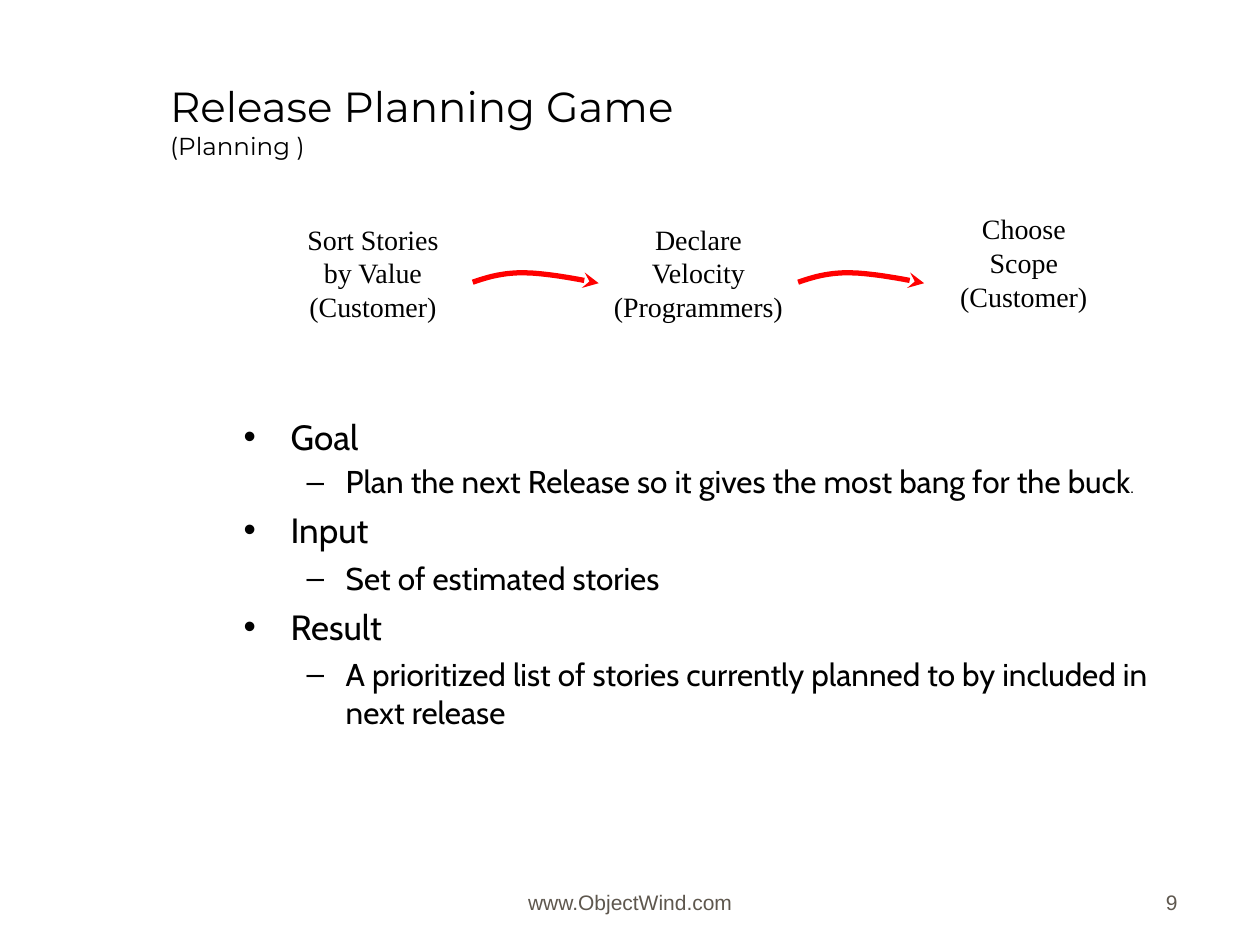
from lxml import etree
from pptx import Presentation
from pptx.dml.color import RGBColor
from pptx.enum.shapes import MSO_SHAPE
from pptx.enum.text import MSO_ANCHOR, PP_ALIGN
from pptx.oxml.ns import qn
from pptx.util import Cm, Pt

BLACK = RGBColor(0, 0, 0)
WHITE = RGBColor(255, 255, 255)
RED = RGBColor(255, 0, 0)
GREY = RGBColor(0x5E, 0x57, 0x4E)
RECT = MSO_SHAPE.RECTANGLE
TOP, MIDDLE, BOTTOM = MSO_ANCHOR.TOP, MSO_ANCHOR.MIDDLE, MSO_ANCHOR.BOTTOM
LEFT, CENTER, RIGHT = PP_ALIGN.LEFT, PP_ALIGN.CENTER, PP_ALIGN.RIGHT

TITLE = ("Release Planning Game", "(Planning )")
STEPS = [  # left, top, lines
    (5.72, 4.23, "Sort Stories\nby Value\n(Customer)"),
    (12.28, 4.23, "Declare\nVelocity\n(Programmers)"),
    (18.84, 4.02, "Choose\nScope\n(Customer)"),
]
POINTS = [  # level, space before, text, small ending
    (0, 0, "Goal", ""),
    (1, 2.5, "Plan the next Release so it gives the most bang for the buck", "."),
    (0, 5, "Input", ""),
    (1, 4.5, "Set of estimated stories", ""),
    (0, 5, "Result", ""),
    (1, 4.5, "A prioritized list of stories currently planned to by included in "
             "next release", ""),
]
LEVELS = [  # bullet, size, left margin, hanging indent
    ("•", 20, 0.95, 0.95),
    ("–", 18, 2.06, 0.79),
]
FOOTERS = [  # left, width, text, alignment
    (8.68, 8.05, "www.ObjectWind.com", CENTER),
    (18.7, 5.29, "9", RIGHT),
]
ARROWS = (9.53, 16.09)
ARROW_TOP = 5.69
STEP_W, STEP_H = 3.6, 2.54
CURVES = [
    ((0, 0), (0.29, -0.1), (0.59, -0.19), (1, -0.19)),
    ((1, -0.19), (1.42, -0.19), (1.98, -0.09), (2.54, 0.02)),
]
PARTS = 12


def style(font, name, size, color=BLACK):
    font.name, font.size = name, Pt(size)
    font.color.rgb = color


def add_text(slide, x, y, w, h, text, anchor=TOP, align=LEFT):
    frame = slide.shapes.add_textbox(Cm(x), Cm(y), Cm(w), Cm(h)).text_frame
    frame.word_wrap = True
    frame.vertical_anchor = anchor
    frame.text = text
    for para in frame.paragraphs:
        para.alignment = align
    return frame


def add_step(slide, x, y, text):
    box = slide.shapes.add_shape(RECT, Cm(x), Cm(y), Cm(STEP_W), Cm(STEP_H))
    box.shadow.inherit = False
    box.fill.background()
    box.line.color.rgb = WHITE
    box.line.width = Pt(2.25)
    frame = box.text_frame
    frame.word_wrap = False
    frame.vertical_anchor = MIDDLE
    frame.text = text
    for para in frame.paragraphs:
        para.alignment = CENTER
        style(para.font, "Times New Roman", 16)


def bezier(curve, t):
    """Return the point at share t of a cubic curve."""
    u = 1 - t
    parts = (u ** 3, 3 * u * u * t, 3 * u * t * t, t ** 3)
    return tuple(sum(k * p[axis] for k, p in zip(parts, curve)) for axis in (0, 1))


def add_arrow(slide, x, y):
    dots = [bezier(curve, i / PARTS) for curve in CURVES for i in range(1, PARTS + 1)]
    pen = slide.shapes.build_freeform(Cm(x), Cm(y))
    pen.add_line_segments([(Cm(x + dx), Cm(y + dy)) for dx, dy in dots], close=False)
    arrow = pen.convert_to_shape()
    arrow.shadow.inherit = False
    arrow.fill.background()
    arrow.line.color.rgb = RED
    arrow.line.width = Pt(3)
    etree.SubElement(arrow.line._get_or_add_ln(), qn("a:tailEnd"), type="stealth")


def add_points(slide):
    text = "\n".join(point[2] for point in POINTS)
    frame = add_text(slide, 4.66, 8.26, 19.05, 9.31, text)
    for para, (level, gap, _, end) in zip(frame.paragraphs, POINTS):
        mark, size, margin, hang = LEVELS[level]
        props = para._p.get_or_add_pPr()
        props.set("marL", str(Cm(margin)))
        props.set("indent", str(-Cm(hang)))
        etree.SubElement(props, qn("a:buFont"), typeface="Arial")
        etree.SubElement(props, qn("a:buChar"), char=mark)
        para.level = level
        para.space_before = Pt(gap)
        style(para.runs[0].font, "Cabin", size)
        if end:
            run = para.add_run()
            run.text = end
            style(run.font, "Cabin", 10)


def main():
    deck = Presentation()
    deck.slide_width, deck.slide_height = Cm(25.4), Cm(19.05)
    slide = deck.slides.add_slide(deck.slide_layouts[6])

    title = add_text(slide, 3.18, 0, 21.59, 3.35, "\v".join(TITLE), BOTTOM)
    for run, size in zip(title.paragraphs[0].runs, (24, 14)):
        style(run.font, "Montserrat", size)
    for step in STEPS:
        add_step(slide, *step)
    for x in ARROWS:
        add_arrow(slide, x, ARROW_TOP)
    add_points(slide)
    for x, w, text, align in FOOTERS:
        frame = add_text(slide, x, 17.3, w, 1.27, text, BOTTOM, align)
        style(frame.paragraphs[0].font, "Arial", 12, GREY)
    deck.save("out.pptx")


if __name__ == "__main__":
    main()
